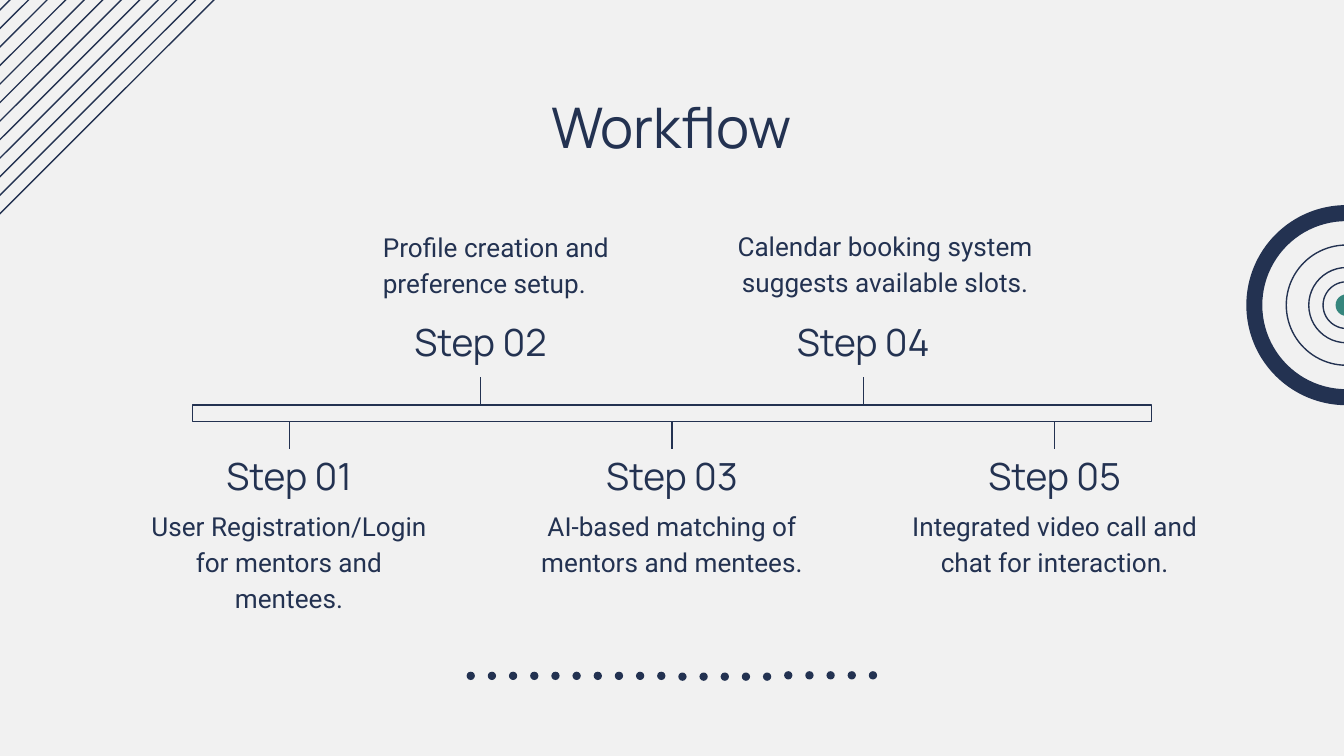
from dataclasses import dataclass

from lxml import etree
from pptx import Presentation
from pptx import util as u
from pptx.dml.color import RGBColor
from pptx.enum import shapes, text
from pptx.oxml import ns

NAVY = RGBColor(0x23, 0x32, 0x51)
TEAL = RGBColor(0x36, 0x86, 0x7D)
PAPER = RGBColor(0xF1, 0xF1, 0xF1)
HEADING_FONT = "Manrope"
BODY_FONT = "Roboto"
CENTER = text.PP_ALIGN.CENTER
LEFT = text.PP_ALIGN.LEFT
TOP = text.MSO_ANCHOR.TOP
BOTTOM = text.MSO_ANCHOR.BOTTOM
OVAL = shapes.MSO_SHAPE.OVAL

STEP_WIDTH = 168.5
FIRST_CENTER, STEP_GAP = 155, 102.5
LABEL_HEIGHT, NOTE_HEIGHT = 33.5, 47.5
BAR_LEFT, BAR_TOP, BAR_WIDTH, BAR_HEIGHT = 103, 217, 514, 8.8
TARGET_X, TARGET_Y = 721.3, 163.5


@dataclass
class Box:
    left: float
    top: float
    width: float
    height: float

    def emu(self) -> list:
        return [u.Pt(v) for v in (self.left, self.top, self.width, self.height)]


@dataclass
class Style:
    font: str
    size: float
    align: text.PP_ALIGN = CENTER
    anchor: text.MSO_ANCHOR = TOP
    spacing: float = 1.0


@dataclass
class Step:
    note: str
    above: bool
    note_left: float
    note_top: float
    note_width: float = STEP_WIDTH
    align: text.PP_ALIGN = CENTER


def write(holder, words: str, style: Style) -> None:
    frame = holder.text_frame
    frame.text = words
    frame.word_wrap = True
    frame.auto_size = text.MSO_AUTO_SIZE.NONE
    frame.vertical_anchor = style.anchor
    frame.margin_left = frame.margin_right = u.Pt(7.2)
    frame.margin_top = frame.margin_bottom = u.Pt(7.2)
    paragraph = frame.paragraphs[0]
    paragraph.alignment = style.align
    paragraph.line_spacing = style.spacing
    font = paragraph.runs[0].font
    font.name, font.size = style.font, u.Pt(style.size)
    font.color.rgb = NAVY


def add_words(slide, box: Box, words: str, style: Style):
    holder = slide.shapes.add_textbox(*box.emu())
    write(holder, words, style)
    return holder


def add_figure(slide, kind, box: Box, fill: RGBColor | None = None):
    figure = slide.shapes.add_shape(kind, *box.emu())
    figure.shadow.inherit = False
    if fill is None:
        figure.fill.background()
        figure.line.color.rgb = NAVY
        figure.line.width = u.Pt(0.75)
    else:
        figure.fill.solid()
        figure.fill.fore_color.rgb = fill
        figure.line.fill.background()
    return figure


def add_circle(slide, x: float, y: float, size: float,
               fill: RGBColor | None = None, kind=OVAL):
    return add_figure(slide, kind, Box(x - size / 2, y - size / 2, size, size), fill)


def add_line(slide, x1: float, y1: float, x2: float, y2: float):
    line = slide.shapes.add_connector(
        shapes.MSO_CONNECTOR.STRAIGHT, u.Pt(x1), u.Pt(y1), u.Pt(x2), u.Pt(y2))
    line.line.color.rgb = NAVY
    line.line.width = u.Pt(0.75)
    etree.SubElement(line._element.spPr, ns.qn("a:effectLst"))
    return line


def add_stripes(slide) -> None:
    for i in range(12):
        x = -2.9 - 9.93 * i
        add_line(slide, x, 117.3, x + 157.2, -39.7)


def add_dots(slide) -> None:
    for i in range(20):
        y = 362.1 if i < 10 else 362.5 if i < 15 else 361.8
        add_circle(slide, 252.2 + 11.34 * i, y, 4.46, NAVY)


def add_target(slide) -> None:
    for size in (64.4, 40.3, 25.0):
        add_circle(slide, TARGET_X, TARGET_Y, size)
    add_circle(slide, TARGET_X, TARGET_Y, 11.6, TEAL)
    ring = add_circle(slide, TARGET_X, TARGET_Y, 107.2, NAVY, shapes.MSO_SHAPE.DONUT)
    ring.adjustments[0] = 0.08


def add_step(slide, bar, index: int, step: Step) -> None:
    center = FIRST_CENTER + STEP_GAP * index
    label_top = 168.5 if step.above else 240.5
    label = add_words(
        slide, Box(center - STEP_WIDTH / 2, label_top, STEP_WIDTH, LABEL_HEIGHT),
        f"Step {index + 1:02}", Style(HEADING_FONT, 20, anchor=BOTTOM))
    add_words(
        slide, Box(step.note_left, step.note_top, step.note_width, NOTE_HEIGHT),
        step.note, Style(BODY_FONT, 14, step.align, spacing=1.15))
    start = label_top + LABEL_HEIGHT if step.above else label_top
    end = BAR_TOP if step.above else BAR_TOP + BAR_HEIGHT
    tick = add_line(slide, center, start, center, end)
    tick.begin_connect(label, 2 if step.above else 0)
    if center == BAR_LEFT + BAR_WIDTH / 2:
        tick.end_connect(bar, 0 if step.above else 2)


STEPS = [
    Step("User Registration/Login for mentors and mentees.", False, 70.6, 263.5),
    Step("Profile creation and preference setup.", True, 198, 114.5, align=LEFT),
    Step("AI-based matching of mentors and mentees.", False, 275.8, 263.5),
    Step("Calendar booking system suggests available slots.", True, 383.5, 113.8, 181.4),
    Step("Integrated video call and chat for interaction.", False, 480.8, 263.5),
]


def main() -> None:
    deck = Presentation()
    deck.slide_width, deck.slide_height = u.Pt(720), u.Pt(405)
    slide = deck.slides.add_slide(deck.slide_layouts[5])
    slide.background.fill.solid()
    slide.background.fill.fore_color.rgb = PAPER

    add_stripes(slide)
    add_dots(slide)
    add_target(slide)

    title = slide.shapes.title
    title.left, title.top, title.width, title.height = Box(68.4, 42.4, 582.5, 45.4).emu()
    write(title, "Workflow", Style(HEADING_FONT, 30))

    bar = add_figure(slide, shapes.MSO_SHAPE.RECTANGLE,
                     Box(BAR_LEFT, BAR_TOP, BAR_WIDTH, BAR_HEIGHT))
    for index, step in enumerate(STEPS):
        add_step(slide, bar, index, step)

    deck.save("out.pptx")


if __name__ == "__main__":
    main()
